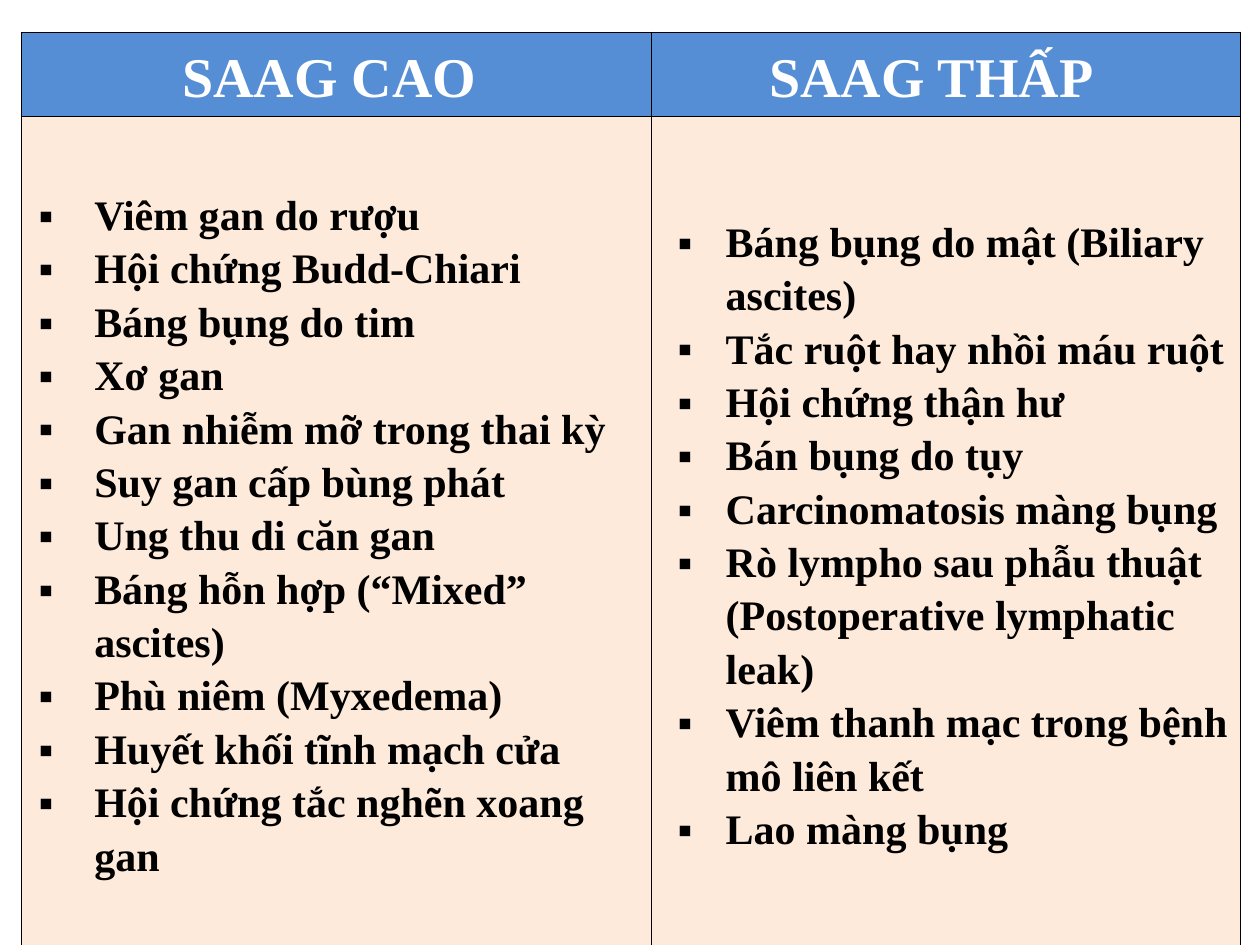
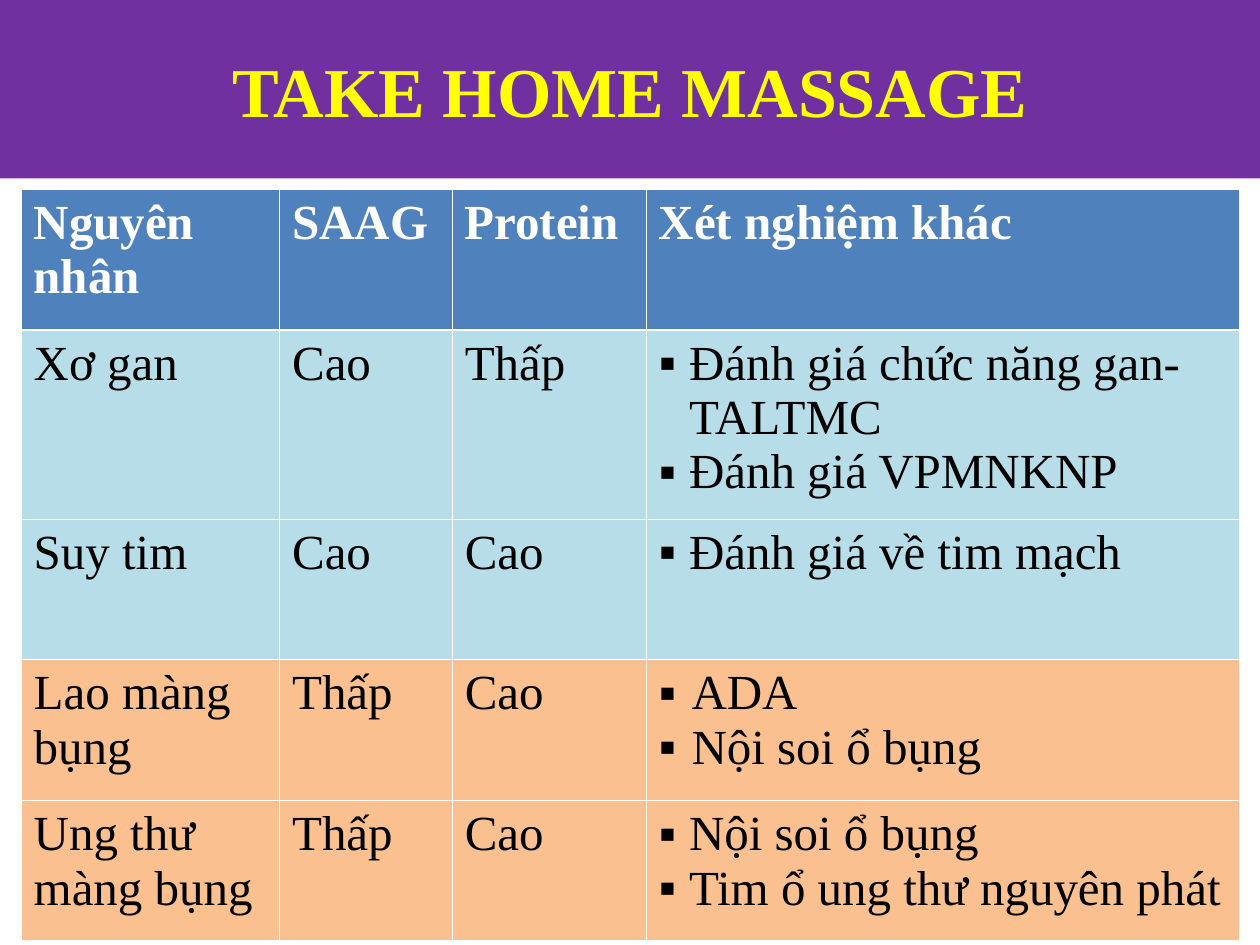
from lxml.etree import SubElement
from pptx import Presentation
from pptx.dml.color import RGBColor
from pptx.enum.shapes import MSO_SHAPE
from pptx.enum.text import MSO_ANCHOR, PP_ALIGN
from pptx.oxml import parse_xml
from pptx.oxml.ns import nsdecls, qn
from pptx.util import Cm, Pt

FONT = "Times New Roman"
WHITE, BLACK, YELLOW, PURPLE = "FFFFFF", "000000", "FFFF00", "7030A0"
SAAG_HEAD, SAAG_BODY = "558ED5", "FDEADA"
CAUSE_HEAD, HIGH_SAAG, LOW_SAAG = "4F81BD", "B7DEE8", "FAC090"
SLIDE_WIDTH, SLIDE_HEIGHT = 25.4, 19.05
TABLE_LEFT = 0.43

# Text formats
SAAG_TITLE = dict(size=Pt(32), bold=True, color=WHITE)
SAAG_ITEM = dict(size=Pt(24), bold=True, color=BLACK)
CAUSE_TITLE = dict(size=Pt(28), bold=True, color=WHITE)
CAUSE_TEXT = dict(size=Pt(28), bold=False, color=BLACK)
BANNER_TITLE = dict(size=Pt(40), bold=True, color=YELLOW)

# Cell formats
SAAG_CELL = dict(margin_left=Cm(0.05), margin_right=Cm(0.05),
                 margin_top=Cm(0.13), margin_bottom=Cm(0.13),
                 vertical_anchor=MSO_ANCHOR.MIDDLE)
CAUSE_CELL = dict(margin_left=Cm(0.25), margin_right=Cm(0.25),
                  margin_top=Cm(0.13), margin_bottom=Cm(0.13),
                  vertical_anchor=MSO_ANCHOR.TOP)

# Heading, extra right margin, bullet indent and items of each column
SAAG_COLUMNS = [
    ("SAAG CAO", 0.28, (1.42, 1.12), [
        "Viêm gan do rượu", "Hội chứng Budd-Chiari", "Báng bụng do tim",
        "Xơ gan", "Gan nhiễm mỡ trong thai kỳ", "Suy gan cấp bùng phát",
        "Ung thu di căn gan", "Báng hỗn hợp (“Mixed” ascites)",
        "Phù niêm (Myxedema)", "Huyết khối tĩnh mạch cửa",
        "Hội chứng tắc nghẽn xoang gan"]),
    ("SAAG THẤP", 0.56, (1.45, 0.97), [
        "Báng bụng do mật (Biliary ascites)", "Tắc ruột hay nhồi máu ruột",
        "Hội chứng thận hư", "Bán bụng do tụy", "Carcinomatosis màng bụng",
        "Rò lympho sau phẫu thuật (Postoperative lymphatic leak)",
        "Viêm thanh mạc trong bệnh mô liên kết", "Lao màng bụng"]),
]

CAUSE_HEADINGS = ["Nguyên nhân", "SAAG", "Protein", "Xét nghiệm khác"]
# Cause, SAAG, protein, other tests, bullet indent
CAUSES = [
    ("Xơ gan", "Cao", "Thấp",
     ["Đánh giá chức năng gan- TALTMC", "Đánh giá VPMNKNP"], 0.61),
    ("Suy tim", "Cao", "Cao", ["Đánh giá về tim mạch"], 0.61),
    ("Lao màng bụng", "Thấp", "Cao", ["ADA", "Nội soi ổ bụng"], 0.66),
    ("Ung thư màng bụng", "Thấp", "Cao",
     ["Nội soi ổ bụng", "Tim ổ ung thư nguyên phát"], 0.61),
]


def rgb(value):
    return RGBColor.from_string(value)


def apply_format(target, values):
    for name, value in values.items():
        setattr(target, name, value)


def add_bullet(paragraph, indent, hanging):
    properties = paragraph._p.get_or_add_pPr()
    properties.set("marL", str(Cm(indent)))
    properties.set("indent", str(-Cm(hanging)))
    bullet_color = SubElement(properties, qn("a:buClr"))
    SubElement(bullet_color, qn("a:srgbClr"), val=BLACK)
    SubElement(properties, qn("a:buFont"), typeface=FONT)
    SubElement(properties, qn("a:buChar"), char="▪")


def write_text(text_frame, lines, text_format, bullet=None, **paragraph_format):
    for index, line in enumerate(lines):
        paragraph = text_frame.paragraphs[0] if index == 0 else text_frame.add_paragraph()
        if bullet:
            add_bullet(paragraph, *bullet)
        apply_format(paragraph, paragraph_format)
        run = paragraph.add_run()
        run.text = line
        run.font.name = FONT
        font_values = dict(text_format)
        run.font.color.rgb = rgb(font_values.pop("color"))
        apply_format(run.font, font_values)


def set_borders(cell, color, width, **side_widths):
    properties = cell._tc.get_or_add_tcPr()
    for index, side in enumerate("LRTB"):
        side_width = Pt(side_widths.get(side, width))
        properties.insert(index, parse_xml(
            f'<a:ln{side} {nsdecls("a")} w="{side_width}"><a:solidFill>'
            f'<a:srgbClr val="{color}"/></a:solidFill></a:ln{side}>'))


def style_cell(cell, fill, cell_format):
    cell.fill.solid()
    cell.fill.fore_color.rgb = rgb(fill)
    apply_format(cell, cell_format)


def add_plain_table(slide, left, top, column_widths, row_heights):
    table = slide.shapes.add_table(
        len(row_heights), len(column_widths), Cm(left), Cm(top),
        Cm(sum(column_widths)), Cm(sum(row_heights))).table
    apply_format(table, dict(first_row=False, horz_banding=False))
    for column, width in zip(table.columns, column_widths):
        column.width = Cm(width)
    for row, height in zip(table.rows, row_heights):
        row.height = Cm(height)
    return table


def add_banner(slide, left, top, width, height, title):
    banner = slide.shapes.add_shape(
        MSO_SHAPE.RECTANGLE, Cm(left), Cm(top), Cm(width), Cm(height))
    banner.shadow.inherit = False
    banner.fill.solid()
    banner.fill.fore_color.rgb = rgb(PURPLE)
    banner.line.fill.background()
    apply_format(banner.text_frame,
                 dict(word_wrap=True, vertical_anchor=MSO_ANCHOR.MIDDLE))
    write_text(banner.text_frame, [title], BANNER_TITLE, alignment=PP_ALIGN.CENTER)


def add_saag_table(slide, left, top):
    table = add_plain_table(slide, left, top, [12.7, 11.86], [1.68, 16.81])
    for column, (heading, extra_margin, bullet, items) in enumerate(SAAG_COLUMNS):
        head, body = table.cell(0, column), table.cell(1, column)
        style_cell(head, SAAG_HEAD, SAAG_CELL)
        style_cell(body, SAAG_BODY, SAAG_CELL)
        head.margin_right += Cm(extra_margin)
        write_text(head.text_frame, [heading], SAAG_TITLE,
                   alignment=PP_ALIGN.CENTER, line_spacing=1.15)
        write_text(body.text_frame, items, SAAG_ITEM, bullet, line_spacing=1.15)
        for cell in (head, body):
            set_borders(cell, BLACK, 0.11)


def add_cause_table(slide, left, top):
    table = add_plain_table(slide, left, top, [5.21, 3.48, 3.91, 11.96],
                            [2.84, 3.81, 2.84, 2.84, 2.82])
    # Heading row, with a heavier rule below
    for column, heading in enumerate(CAUSE_HEADINGS):
        cell = table.cell(0, column)
        style_cell(cell, CAUSE_HEAD, CAUSE_CELL)
        write_text(cell.text_frame, [heading], CAUSE_TITLE)
        set_borders(cell, WHITE, 0.45, B=1.47)
    # One row per cause, coloured by its SAAG level
    for row, (cause, saag, protein, tests, indent) in enumerate(CAUSES, start=1):
        fill = HIGH_SAAG if saag == "Cao" else LOW_SAAG
        for column, lines in enumerate([[cause], [saag], [protein], tests]):
            cell = table.cell(row, column)
            style_cell(cell, fill, CAUSE_CELL)
            bullet = (indent, indent) if lines is tests else None
            write_text(cell.text_frame, lines, CAUSE_TEXT, bullet)
            set_borders(cell, WHITE, 0.45, T=1.47 if row == 1 else 0.45)


def main():
    presentation = Presentation()
    presentation.slide_width = Cm(SLIDE_WIDTH)
    presentation.slide_height = Cm(SLIDE_HEIGHT)
    blank = presentation.slide_layouts[6]

    saag_slide = presentation.slides.add_slide(blank)
    add_saag_table(saag_slide, TABLE_LEFT, 0.64)

    summary_slide = presentation.slides.add_slide(blank)
    add_banner(summary_slide, 0, 0, SLIDE_WIDTH, 3.6, "TAKE HOME MASSAGE")
    add_cause_table(summary_slide, TABLE_LEFT, 3.81)

    presentation.save("out.pptx")


if __name__ == "__main__":
    main()
